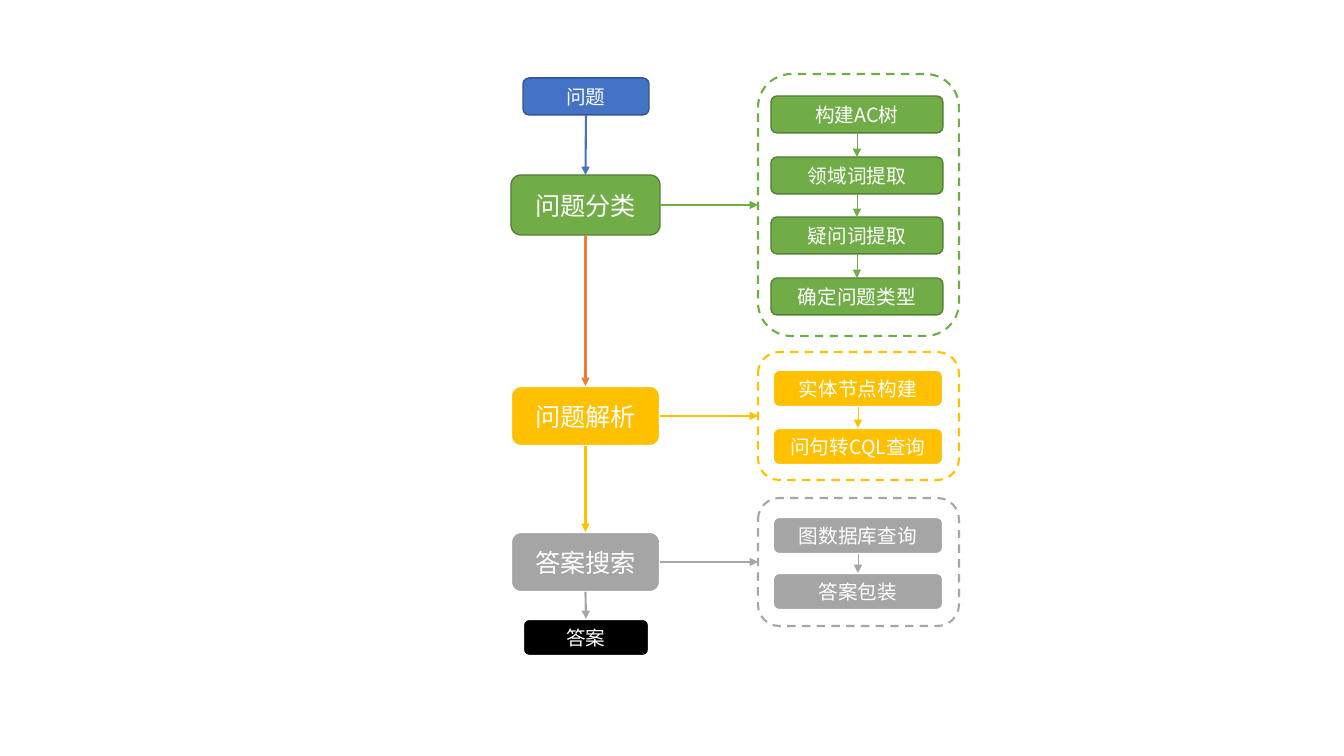
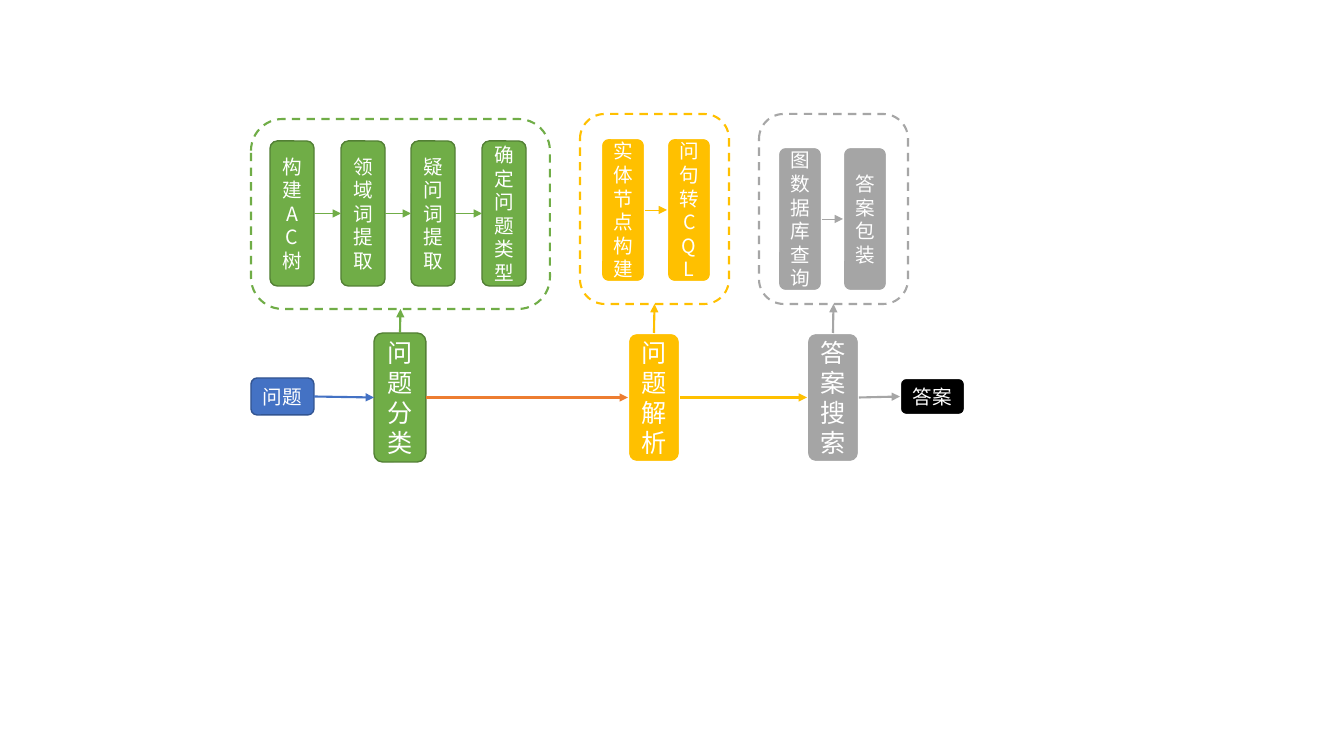
from dataclasses import dataclass
from itertools import pairwise

from lxml import etree
from pptx import Presentation
from pptx import util as u
from pptx.dml.color import RGBColor
from pptx.enum import dml, shapes, text
from pptx.oxml import ns

# Shared style
EMU_PER_PX = 914400 / 100.8
FONT = "Noto Sans CJK SC"
WHITE = "FFFFFF"
TOP, LEFT, BOTTOM, RIGHT = range(4)
MAIN_PT, STEP_PT = 18, 14
THICK, THIN = 1.5, 0.5
FLOW_COLOURS = ["4472C4", "ED7D31", "FFC000", "A6A6A6"]


@dataclass(frozen=True)
class Look:
    fill: str
    edge: str = WHITE
    edge_pt: float = 1.5
    accent: str = ""


@dataclass(frozen=True)
class Box:
    x: int
    y: int
    w: int
    h: int


@dataclass(frozen=True)
class Stage:
    label: str
    look: Look
    frame: Box
    first: Box
    span: int  # distance from the first step to the last
    steps: list[str]


@dataclass(frozen=True)
class Flow:
    vertical: bool
    question: Box
    answer: Box
    main_at: int  # main boxes' fixed edge, across the flow
    main_size: tuple[int, int]
    stages: list[Stage]


BLUE = Look("4472C4", "325491", 1)
GREEN = Look("70AD47", "538035", 1, "70AD47")
YELLOW = Look("FFC000", accent="FFC000")
GREY = Look("A5A5A5", accent="A6A6A6")
BLACK = Look("000000")


# Drawing helpers
def px(n: float) -> u.Emu:
    return u.Emu(round(n * EMU_PER_PX))


def colour(hex_value: str) -> RGBColor:
    return RGBColor.from_string(hex_value)


def set_all(target, values: dict) -> None:
    for name, value in values.items():
        setattr(target, name, value)


def add_outline(s, kind, box: Box, edge: str, edge_pt: float):
    sp = s.shapes.add_shape(kind, *map(px, (box.x, box.y, box.w, box.h)))
    sp.shadow.inherit = False
    sp.line.color.rgb = colour(edge)
    sp.line.width = u.Pt(edge_pt)
    return sp


def add_node(s, box: Box, label: str, look: Look, size: int = STEP_PT):
    sp = add_outline(s, shapes.MSO_SHAPE.FLOWCHART_ALTERNATE_PROCESS, box,
                     look.edge, look.edge_pt)
    sp.fill.solid()
    sp.fill.fore_color.rgb = colour(look.fill)
    tf = sp.text_frame
    set_all(tf, {"word_wrap": True, "vertical_anchor": text.MSO_ANCHOR.MIDDLE,
                 "margin_left": px(9), "margin_right": px(9),
                 "margin_top": 0, "margin_bottom": 0})
    p = tf.paragraphs[0]
    p.alignment = text.PP_ALIGN.CENTER
    r = p.add_run()
    r.text = label
    r.font.color.rgb = colour(WHITE)
    set_all(r.font, {"name": FONT, "size": u.Pt(size)})
    etree.SubElement(r.font._element, ns.qn("a:ea"), typeface=FONT)
    return sp


def add_frame(s, box: Box, look: Look):
    sp = add_outline(s, shapes.MSO_SHAPE.ROUNDED_RECTANGLE, box, look.accent, THICK)
    sp.fill.background()
    sp.line.dash_style = dml.MSO_LINE.DASH
    return sp


def add_arrow(s, start, end, sides: tuple[int, int], hex_value: str, width: float) -> None:
    c = s.shapes.add_connector(shapes.MSO_CONNECTOR.STRAIGHT, 0, 0, 0, 0)
    c.begin_connect(start, sides[0])
    c.end_connect(end, sides[1])
    c.line.color.rgb = colour(hex_value)
    c.line.width = u.Pt(width)
    etree.SubElement(c.line._get_or_add_ln(), ns.qn("a:tailEnd"), type="triangle")
    etree.SubElement(c._element.spPr, ns.qn("a:effectLst"))


# Flow chart
def add_stage(s, flow: Flow, stage: Stage, along: tuple[int, int]):
    frame, first, (w, h) = stage.frame, stage.first, flow.main_size
    # The main box is centred on its frame
    if flow.vertical:
        box = Box(flow.main_at, frame.y + (frame.h - h) // 2, w, h)
        branch = (RIGHT, LEFT)
    else:
        box = Box(frame.x + (frame.w - w) // 2, flow.main_at, w, h)
        branch = (TOP, BOTTOM)
    main = add_node(s, box, stage.label, stage.look, MAIN_PT)
    steps = []
    for i, label in enumerate(stage.steps):
        shift = round(i * stage.span / (len(stage.steps) - 1))
        dx, dy = (0, shift) if flow.vertical else (shift, 0)
        step = Box(first.x + dx, first.y + dy, first.w, first.h)
        steps.append(add_node(s, step, label, stage.look))
    for a, b in pairwise(steps):
        add_arrow(s, a, b, along, stage.look.accent, THIN)
    outline = add_frame(s, frame, stage.look)
    add_arrow(s, main, outline, branch, stage.look.accent, THICK)
    return main


def add_flow(prs, flow: Flow) -> None:
    s = prs.slides.add_slide(prs.slide_layouts[6])
    along = (BOTTOM, TOP) if flow.vertical else (RIGHT, LEFT)
    nodes = [add_node(s, flow.question, "问题", BLUE)]
    nodes += [add_stage(s, flow, stage, along) for stage in flow.stages]
    nodes.append(add_node(s, flow.answer, "答案", BLACK))
    for (a, b), hex_value in zip(pairwise(nodes), FLOW_COLOURS):
        add_arrow(s, a, b, along, hex_value, THICK)


# Content
CLASSIFY = ["构建AC树", "领域词提取", "疑问词提取", "确定问题类型"]
SEARCH = ["图数据库查询", "答案包装"]

FLOWS = [
    Flow(True, Box(523, 78, 126, 37), Box(523, 619, 126, 37), 511, (149, 60), [
        Stage("问题分类", GREEN, Box(758, 74, 201, 262),
              Box(771, 96, 172, 37), 182, CLASSIFY),
        Stage("问题解析", YELLOW, Box(758, 352, 201, 128),
              Box(773, 370, 170, 37), 58, ["实体节点构建", "问句转CQL查询"]),
        Stage("答案搜索", GREY, Box(758, 498, 201, 128),
              Box(773, 517, 170, 37), 56, SEARCH),
    ]),
    Flow(False, Box(251, 378, 63, 37), Box(900, 378, 65, 37), 333, (52, 129), [
        Stage("问题分类", GREEN, Box(251, 119, 299, 190),
              Box(270, 141, 44, 145), 212, CLASSIFY),
        Stage("问题解析", YELLOW, Box(580, 114, 149, 190),
              Box(601, 138, 44, 144), 66, ["实体节点构建", "问句转CQL"]),
        Stage("答案搜索", GREY, Box(759, 114, 149, 190),
              Box(778, 147, 44, 144), 65, SEARCH),
    ]),
]


def main() -> None:
    prs = Presentation()
    set_all(prs, {"slide_width": px(1344), "slide_height": px(756)})
    for flow in FLOWS:
        add_flow(prs, flow)
    prs.save("out.pptx")


if __name__ == "__main__":
    main()
